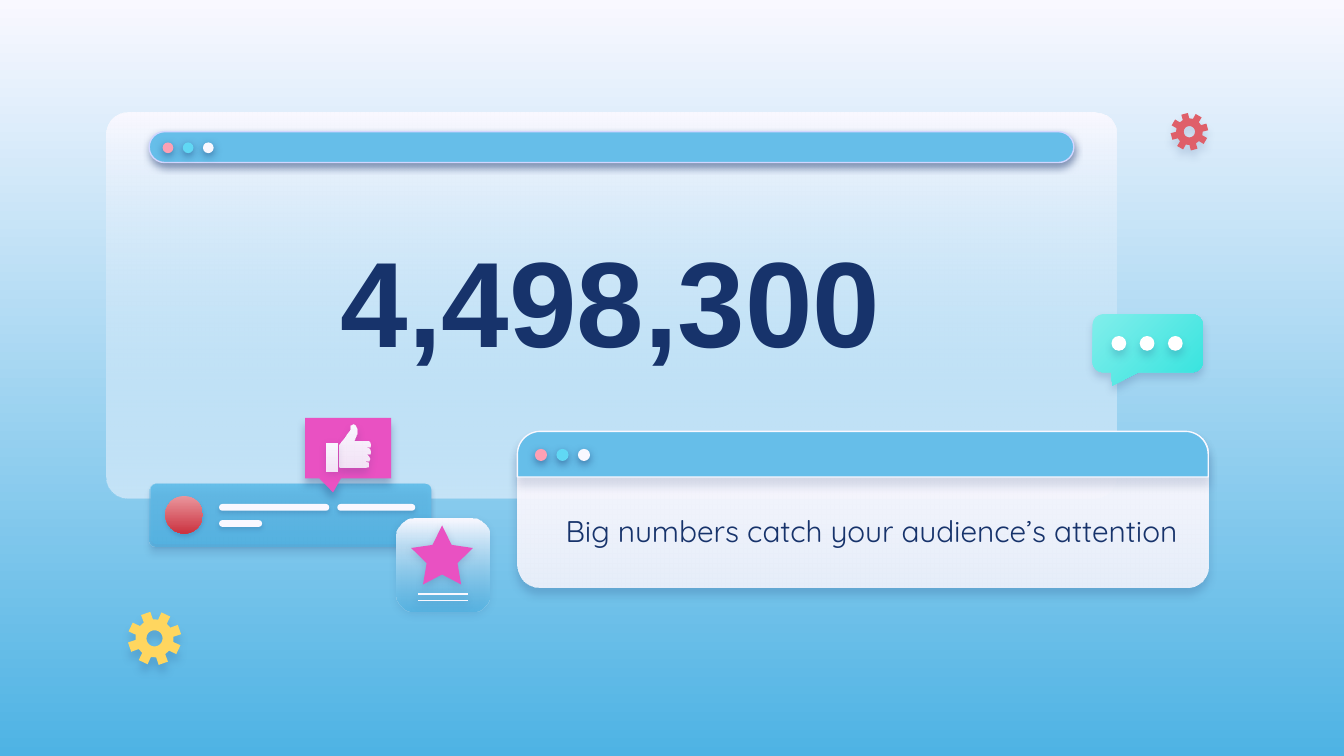
"""Build a big-number slide with floating window and social media decorations."""
from math import cos, radians, sin

from lxml import etree
from pptx import Presentation
from pptx.dml.color import RGBColor
from pptx.enum.shapes import MSO_CONNECTOR, MSO_SHAPE
from pptx.enum.text import MSO_ANCHOR, MSO_AUTO_SIZE, PP_ALIGN
from pptx.oxml.ns import qn
from pptx.util import Inches, Pt

ROUNDED = MSO_SHAPE.ROUNDED_RECTANGLE
TOP_ROUNDED = MSO_SHAPE.ROUND_2_SAME_RECTANGLE
OVAL = MSO_SHAPE.OVAL
STAR = MSO_SHAPE.STAR_5_POINT
CALLOUT = MSO_SHAPE.ROUNDED_RECTANGULAR_CALLOUT
STRAIGHT = MSO_CONNECTOR.STRAIGHT
CENTER = PP_ALIGN.CENTER
BOTTOM, MIDDLE = MSO_ANCHOR.BOTTOM, MSO_ANCHOR.MIDDLE
NO_FIT = MSO_AUTO_SIZE.NONE

THEME = {
    "navy": "17336B", "pale": "F9F8FF", "sky": "66BEE9", "deep": "4EB3E4",
    "rose": "FDA0B4", "cyan": "60D8F4", "lilac": "D2D6FF", "white": "FFFFFF",
    "pink": "E951C2", "yellow": "FFD65F", "red": "DF5F69",
    "blush": "EA969D", "crimson": "CB3340", "mint": "81EEEB", "teal": "3AE4DF",
    "number": ("Arial", 65, True), "caption": ("Quicksand", 16, False),
}


def paint(shape, fill, shadow=None, line=None, angle=270):
    """Apply a solid or gradient fill, an outline and an outer shadow."""
    if isinstance(fill, str):
        shape.fill.solid()
        shape.fill.fore_color.rgb = RGBColor.from_string(THEME[fill])
    elif fill:
        shape.fill.gradient()
        shape.fill.gradient_angle = angle
        for stop, (color, _) in zip(shape.fill.gradient_stops, fill):
            stop.color.rgb = RGBColor.from_string(THEME[color])
        for color, (_, opacity) in zip(shape.element.xpath(".//a:gs/a:srgbClr"), fill):
            etree.SubElement(color, qn("a:alpha"), val=str(opacity * 1000))
    if line:
        shape.line.color.rgb = RGBColor.from_string(THEME[line])
        shape.line.width = Pt(0.75)
    else:
        shape.line.fill.background()
    effects = etree.SubElement(shape.element.spPr, qn("a:effectLst"))
    if shadow:
        opacity, blur, distance = shadow
        outer = etree.SubElement(
            effects, qn("a:outerShdw"), blurRad=str(Pt(blur)), dist=str(Pt(distance)),
            dir="5400000", algn="bl", rotWithShape="0")
        tint = etree.SubElement(outer, qn("a:srgbClr"), val=THEME["navy"])
        etree.SubElement(tint, qn("a:alpha"), val=str(opacity * 1000))


def draw(kind, box, fill, shadow=None, adjustments=(), line=None, angle=270):
    """Add a painted preset shape."""
    shape = slide.shapes.add_shape(kind, *map(Inches, box))
    for index, value in enumerate(adjustments):
        shape.adjustments[index] = value
    paint(shape, fill, shadow, line, angle)


prs = Presentation()
prs.slide_width = Inches(10)
prs.slide_height = prs.slide_width * 9 // 16
slide = prs.slides.add_slide(prs.slide_layouts[5])
backdrop = slide.background.fill
backdrop.gradient()
backdrop.gradient_angle = 270
for stop, color in zip(backdrop.gradient_stops, ("pale", "deep")):
    stop.color.rgb = RGBColor.from_string(THEME[color])

button_shadow = (50, 4.5, 1.5)
glass = [("pale", 100), ("pale", 87)]
for fill in ("pale", [("pale", 100), ("sky", 35)]):
    draw(ROUNDED, (0.79, 0.84, 7.52, 2.87), fill, adjustments=[0.056])
draw(ROUNDED, (1.11, 0.98, 6.88, 0.23), "sky", button_shadow, [0.5], "lilac")
draw(ROUNDED, (3.85, 3.21, 5.14, 1.16), glass, (22, 4.5, 3.8), [0.149])
draw(TOP_ROUNDED, (3.85, 3.21, 5.14, 0.34), "sky", (15, 4.5, 3.8), [0.5, 0], "pale")
for left, top, size, step in ((1.21, 1.06, 0.08, 0.15), (3.98, 3.34, 0.09, 0.16)):
    for i, color in enumerate(("rose", "cyan", "pale")):
        draw(OVAL, (left + i * step, top, size, size), color, button_shadow)

number = slide.shapes.title
number.element.getparent().append(number.element)
number.left, number.top, number.width, number.height = map(Inches, (0.95, 1.22, 7.19, 1.65))
caption = slide.shapes.add_textbox(*map(Inches, (4.02, 3.72, 4.93, 0.45)))
for holder, words, style, anchor in (
    (number, "4,498,300", "number", BOTTOM),
    (caption, "Big numbers catch your audience’s attention", "caption", MIDDLE),
):
    frame = holder.text_frame
    frame.text = words
    frame.word_wrap = True
    frame.auto_size = NO_FIT
    frame.vertical_anchor = anchor
    frame.margin_left = frame.margin_right = Inches(0.1)
    frame.margin_top = frame.margin_bottom = Inches(0.1)
    frame.paragraphs[0].alignment = CENTER
    font = frame.paragraphs[0].runs[0].font
    font.name, size, font.bold = THEME[style]
    font.size = Pt(size)
    font.color.rgb = RGBColor.from_string(THEME["navy"])

post_shadow = (17, 2.2, 1.5)
draw(ROUNDED, (1.12, 3.6, 2.09, 0.45), "sky", post_shadow, [0.1])
draw(ROUNDED, (1.11, 3.6, 2.09, 0.47), [("sky", 35), ("deep", 58)], (19, 3.4, 3.8), [0.1])
draw(OVAL, (1.23, 3.69, 0.28, 0.28), [("blush", 100), ("crimson", 100)], post_shadow)
for left, top, width in ((1.63, 3.75, 0.82), (2.51, 3.75, 0.58), (1.63, 3.87, 0.32)):
    draw(ROUNDED, (left, top, width, 0.05), "pale", post_shadow, [0.5])

chat_shadow = (18, 4.5, 3)
draw(CALLOUT, (8.13, 2.34, 0.82, 0.43), [("mint", 100), ("teal", 100)], chat_shadow,
     [-0.32, 0.73, 0.18], angle=315)
for i in range(3):
    draw(OVAL, (8.27 + i * 0.21, 2.5, 0.11, 0.11), "white", chat_shadow)

badge_shadow = (19, 4.5, 1.5)
draw(ROUNDED, (2.95, 3.86, 0.69, 0.69), [("pale", 100), ("deep", 58)], badge_shadow, [0.19])
draw(STAR, (3.06, 3.91, 0.46, 0.44), "pink", badge_shadow, [0.25])
for y in (4.42, 4.47):
    underline = slide.shapes.add_connector(STRAIGHT, *map(Inches, (3.11, y, 3.48, y)))
    paint(underline, None, badge_shadow, "pale")

draw(CALLOUT, (2.27, 3.11, 0.64, 0.45), "pink", (31, 4.5, 3.8), [-0.174, 0.731, 0])
hand = [
    (2.63, 3.16), (2.61, 3.17), (2.61, 3.2), (2.53, 3.31), (2.53, 3.47), (2.54, 3.48),
    (2.72, 3.48), (2.74, 3.47), (2.74, 3.44), (2.72, 3.43), (2.74, 3.43), (2.75, 3.41),
    (2.74, 3.39), (2.73, 3.38), (2.75, 3.38), (2.76, 3.36), (2.75, 3.34), (2.73, 3.33),
    (2.75, 3.33), (2.76, 3.31), (2.75, 3.29), (2.73, 3.28), (2.64, 3.28), (2.66, 3.23),
    (2.66, 3.19), (2.65, 3.17),
]
cuff = [(2.43, 3.3), (2.51, 3.3), (2.51, 3.51), (2.43, 3.51)]
outlines = [([hand], glass, (19, 4.5, 3)), ([cuff], glass, (16, 4.5, 1.5))]
for x, y, radius, turn, color, shadow in (
    (1.15, 4.75, 0.2, -109.5, "yellow", (16, 4.5, 4.5)),
    (8.85, 0.98, 0.14, -105, "red", (15, 4.5, 3.8)),
):
    rim = [(turn + tooth * 45 + offset, radius * ratio) for tooth in range(8)
           for offset, ratio in ((-14.5, 0.71), (-10.5, 1), (10.5, 1), (14.5, 0.71))]
    hole = [(-degree, radius * 0.3) for degree in range(0, 360, 10)]
    gear = [[(x + r * cos(radians(a)), y + r * sin(radians(a))) for a, r in ring]
            for ring in (rim, hole)]
    outlines.append((gear, color, shadow))

for contours, fill, shadow in outlines:
    rings = [[(Inches(x), Inches(y)) for x, y in contour] for contour in contours]
    builder = slide.shapes.build_freeform(*rings[0][0])
    builder.add_line_segments(rings[0][1:], close=True)
    for ring in rings[1:]:
        builder.move_to(*ring[0])
        builder.add_line_segments(ring[1:], close=True)
    paint(builder.convert_to_shape(), fill, shadow)

prs.save("out.pptx")
